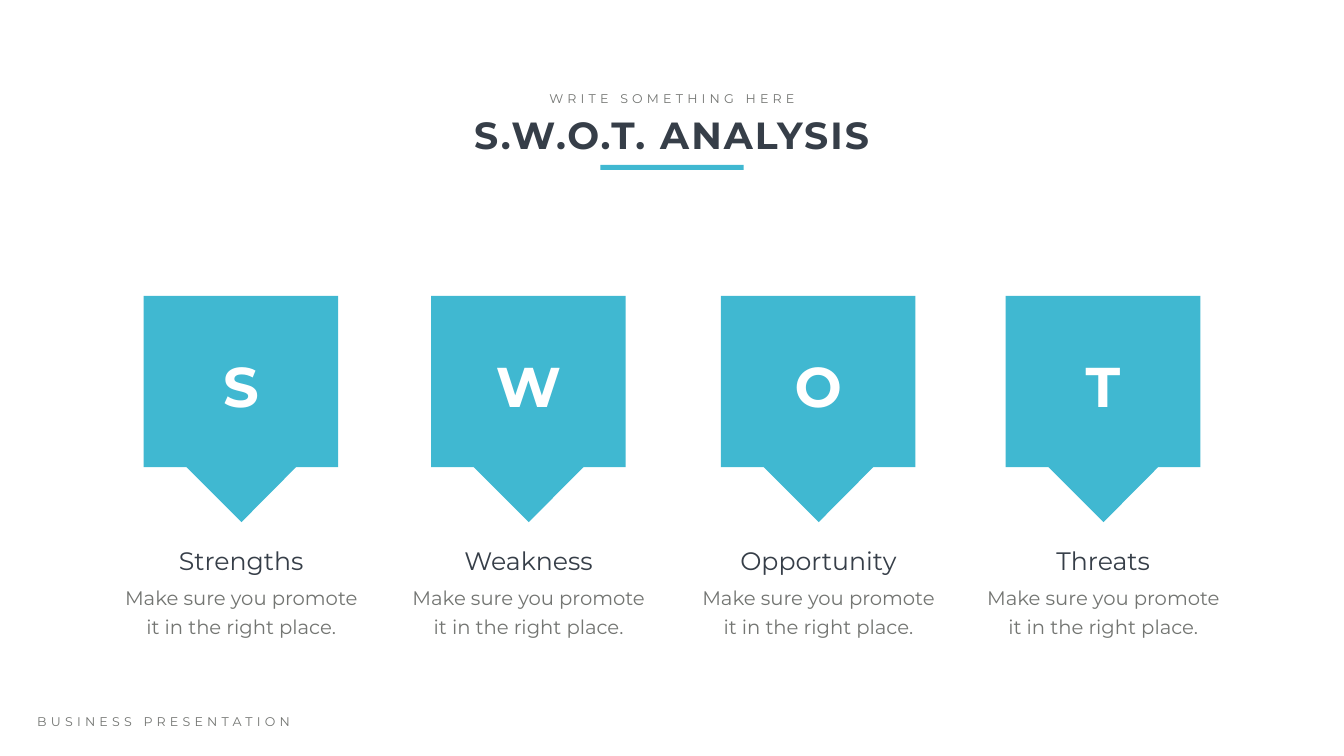
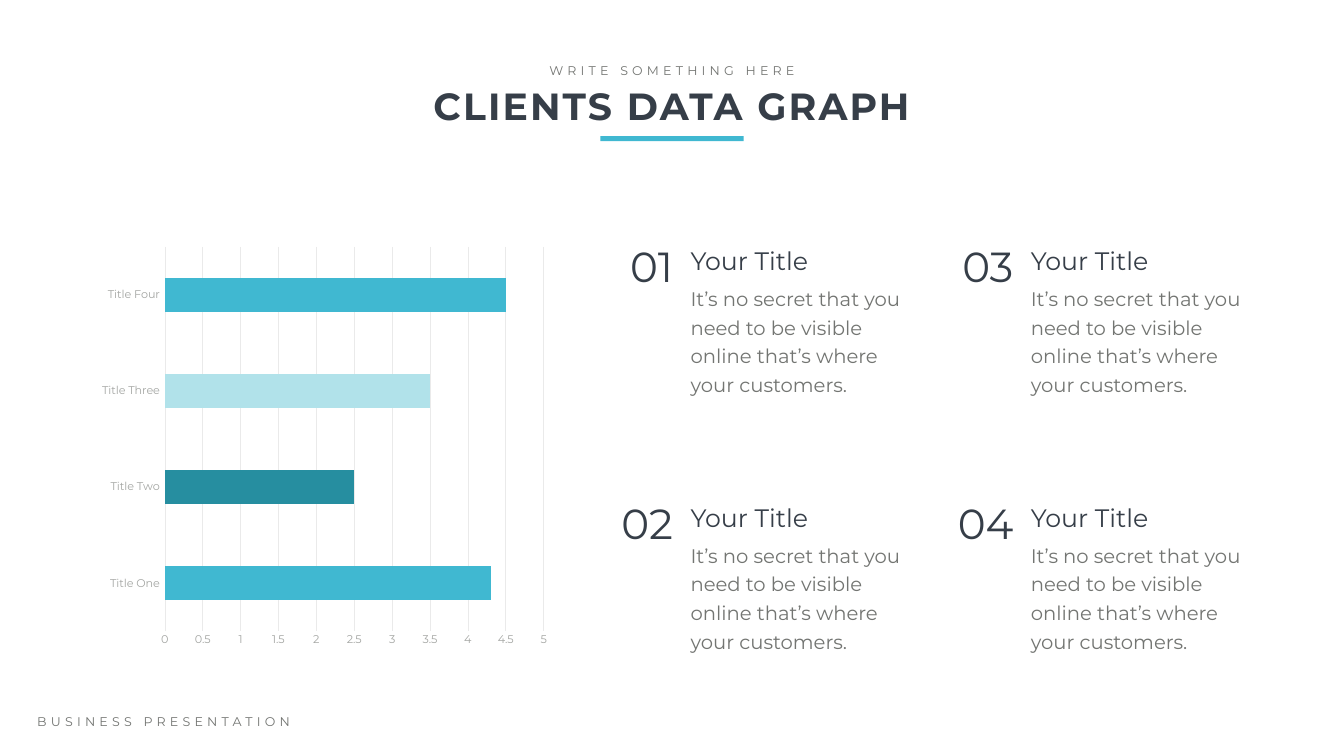
from dataclasses import dataclass

from pptx import Presentation
from pptx.chart.data import CategoryChartData
from pptx.dml.color import RGBColor
from pptx.enum.chart import XL_CHART_TYPE, XL_TICK_LABEL_POSITION, XL_TICK_MARK
from pptx.enum.shapes import MSO_SHAPE
from pptx.enum.text import MSO_AUTO_SIZE, PP_ALIGN
from pptx.util import Inches, Pt

RECT = MSO_SHAPE.RECTANGLE
LEFT, CENTER, RIGHT = PP_ALIGN.LEFT, PP_ALIGN.CENTER, PP_ALIGN.RIGHT
GROW = MSO_AUTO_SIZE.SHAPE_TO_FIT_TEXT
BAR = XL_CHART_TYPE.BAR_CLUSTERED
NO_TICK = XL_TICK_MARK.NONE
LABELS_LOW = XL_TICK_LABEL_POSITION.LOW

FONT = "Montserrat"
COLORS = {
    "dark": "363E48",
    "gray": "737572",
    "accent": "40B8D1",
    "deep": "268EA0",
    "pale": "B1E2EA",
    "axis": "A4A6A3",
    "grid": "EAEAEA",
    "white": "FFFFFF",
}


@dataclass(frozen=True)
class Style:
    size: float
    color: str = "dark"
    bold: bool = False
    tracking: int = 0
    leading: float | None = None


STYLES = {
    "title": Style(54, bold=True, tracking=3),
    "label": Style(18, "gray", tracking=6),
    "letter": Style(80, "white", bold=True, tracking=3),
    "number": Style(60),
    "heading": Style(36),
    "body": Style(28, "gray", leading=40.8),
}


@dataclass(frozen=True)
class SwotItem:
    left: float
    letter: str
    name: str


@dataclass(frozen=True)
class Point:
    number: str
    left: float
    top: float


SWOT = [
    SwotItem(2.85, "S", "Strengths"),
    SwotItem(8.55, "W", "Weakness"),
    SwotItem(14.3, "O", "Opportunity"),
    SwotItem(19.95, "T", "Threats"),
]
SWOT_TOP = 5.87
SWOT_TEXT = "Make sure you promote it in the right place."
POINTS = [
    Point(f"{i + 1:02}", 11.94 + i // 2 * 6.75, 4.73 + i % 2 * 5.09)
    for i in range(4)
]
POINT_TEXT = (
    "It’s no secret that you need to be visible online "
    "that’s where your customers."
)
CHART_VALUES = {
    "Title One": 4.3,
    "Title Two": 2.5,
    "Title Three": 3.5,
    "Title Four": 4.5,
}
BAR_COLORS = ["accent", "deep", "pale", "accent"]


def rgb(name: str) -> RGBColor:
    return RGBColor.from_string(COLORS[name])


def set_format(target, values: dict) -> None:
    for name, value in values.items():
        setattr(target, name, value)


def set_font(font, size: float, color: str, bold: bool = False) -> None:
    set_format(font, {"name": FONT, "size": Pt(size), "bold": bold})
    font.color.rgb = rgb(color)


def paint(sp) -> None:
    sp.shadow.inherit = False
    sp.fill.solid()
    sp.fill.fore_color.rgb = rgb("accent")
    sp.line.fill.background()


def add_text(shapes, text: str, kind: str, left: float, top: float,
             width: float, height: float, align=LEFT, wrap: bool = True) -> None:
    style = STYLES[kind]
    tf = shapes.add_textbox(Inches(left), Inches(top),
                            Inches(width), Inches(height)).text_frame
    set_format(tf, {"word_wrap": wrap, "auto_size": GROW})
    p = tf.paragraphs[0]
    p.alignment = align
    if style.leading:
        p.line_spacing = Pt(style.leading)
    r = p.add_run()
    r.text = text
    set_font(r.font, style.size, style.color, style.bold)
    if style.tracking:
        r.font._element.set("spc", str(style.tracking * 100))


def add_bar(shapes, left: float, top: float, width: float, height: float) -> None:
    paint(shapes.add_shape(RECT, Inches(left), Inches(top),
                           Inches(width), Inches(height)))


def add_base_slide(prs, title: str, top: float):
    slide = prs.slides.add_slide(prs.slide_layouts[6])
    header = slide.shapes.add_group_shape().shapes
    add_text(header, title, "title", 7.29, top + 0.4, 12.07, 1.01, CENTER)
    add_text(header, "WRITE SOMETHING HERE", "label",
             10.74, top, 5.18, 0.4, CENTER, wrap=False)
    add_bar(header, 11.91, top + 1.51, 2.84, 0.1)
    return slide


def add_footer(slide) -> None:
    add_text(slide.shapes, "BUSINESS PRESENTATION", "label",
             0.64, 14.12, 6.05, 0.4)


def add_swot_item(slide, item: SwotItem) -> None:
    x, y = item.left, SWOT_TOP
    marker = slide.shapes.add_group_shape().shapes
    add_bar(marker, x, y, 3.86, 3.4)
    corners = [(Inches(x + dx), Inches(y + dy))
               for dx, dy in ((0.7, 3.25), (3.17, 3.25), (1.94, 4.49))]
    builder = marker.build_freeform(*corners[0])
    builder.add_line_segments(corners[1:], close=True)
    paint(builder.convert_to_shape())

    caption = slide.shapes.add_group_shape().shapes
    add_text(caption, SWOT_TEXT, "body", x - 0.47, y + 5.61, 4.81, 1.2, CENTER)
    add_text(caption, item.name, "heading", x - 0.47, y + 4.9, 4.81, 0.71, CENTER)
    add_text(slide.shapes, item.letter, "letter",
             x + 0.82, y + 1.05, 2.22, 1.45, CENTER)


def add_point(slide, point: Point) -> None:
    x, y = point.left, point.top
    group = slide.shapes.add_group_shape().shapes
    add_text(group, POINT_TEXT, "body", x + 1.66, y + 0.82, 4.47, 2.35)
    add_text(group, "Your Title", "heading", x + 1.66, y + 0.09, 2.68, 0.71)
    add_text(group, point.number, "number", x, y, 1.51, 1.11, RIGHT)


def add_clients_chart(slide) -> None:
    data = CategoryChartData()
    data.categories = list(CHART_VALUES)
    data.add_series("Series 1", list(CHART_VALUES.values()))
    chart = slide.shapes.add_chart(BAR, Inches(1.84), Inches(4.73),
                                   Inches(9.19), Inches(8.26), data).chart
    set_format(chart, {"has_legend": False, "has_title": False})
    set_font(chart.font, 16, "gray")

    cat, val = chart.category_axis, chart.value_axis
    for axis in (cat, val):
        set_format(axis, {"major_tick_mark": NO_TICK, "minor_tick_mark": NO_TICK})
        set_font(axis.tick_labels.font, 16, "axis")
    cat.tick_label_position = LABELS_LOW
    set_format(val, {"minimum_scale": 0, "maximum_scale": 5, "major_unit": 0.5,
                     "has_major_gridlines": True})
    val.format.line.fill.background()
    for line in (cat.format.line, val.major_gridlines.format.line):
        line.color.rgb = rgb("grid")
        line.width = Pt(0.75)

    plot = chart.plots[0]
    set_format(plot, {"gap_width": 182, "vary_by_categories": False})
    series = plot.series[0]
    series.invert_if_negative = False
    series.format.fill.solid()
    series.format.fill.fore_color.rgb = rgb("accent")
    for i, color in enumerate(BAR_COLORS):
        if color != "accent":
            fill = series.points[i].format.fill
            fill.solid()
            fill.fore_color.rgb = rgb(color)


def build_swot(prs) -> None:
    slide = add_base_slide(prs, "S.W.O.T. ANALYSIS", 1.76)
    for item in SWOT:
        add_swot_item(slide, item)
    add_footer(slide)


def build_clients(prs) -> None:
    slide = add_base_slide(prs, "CLIENTS DATA GRAPH", 1.19)
    add_clients_chart(slide)
    for point in POINTS:
        add_point(slide, point)
    add_footer(slide)


def main() -> None:
    prs = Presentation()
    set_format(prs, {"slide_width": Inches(26.66), "slide_height": Inches(15)})
    build_swot(prs)
    build_clients(prs)
    prs.save("out.pptx")


if __name__ == "__main__":
    main()
